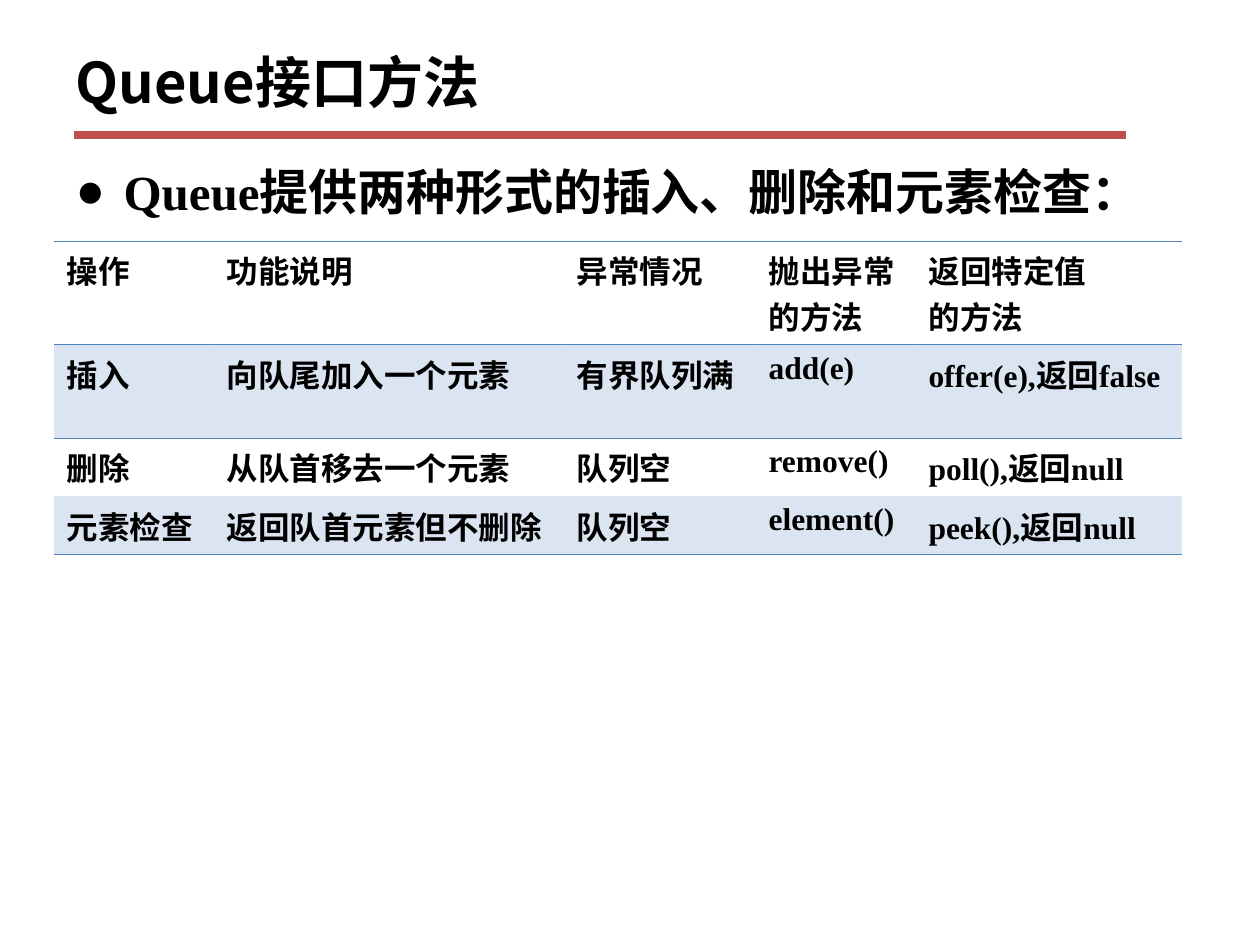
import pptx
import pptx.dml.color
import pptx.enum.shapes
import pptx.enum.text
import pptx.oxml
import pptx.oxml.ns
import pptx.util

TITLE = "Queue接口方法"
BULLET = "Queue提供两种形式的插入、删除和元素检查："
ROWS = [
    ("操作", "功能说明", "异常情况", "抛出异常\n的方法", "返回特定值\n的方法"),
    ("插入", "向队尾加入一个元素", "有界队列满", "add(e)", "offer(e),返回false"),
    ("删除", "从队首移去一个元素", "队列空", "remove()", "poll(),返回null"),
    ("元素检查", "返回队首元素但不删除", "队列空", "element()", "peek(),返回null"),
]
COLUMN_WIDTHS = [160, 350, 192, 160, 266]
ROW_HEIGHTS = [88, 88, 50, 50]
TITLE_BOX = (63, 26, 1134, 110)
BODY_BOX = (63, 155, 1134, 735)
TABLE_ORIGIN = (54, 241)
RULE = (74, 135, 1126, 135)
BULLET_INDENT = 48

THEME = {
    "text": "000000", "rule": "C0504D", "accent": "4F81BD", "band_alpha": 20,
    "latin": "Times New Roman", "asian": "Noto Sans CJK SC",
    "title_size": 32, "body_size": 28, "table_size": 18,
    "rule_width": 4.5, "border_width": 0.45,
}
NO_TABLE_STYLE = "{2D5ABB26-0587-4C30-8999-92F81FD0307C}"


def px(value):
    return pptx.util.Emu(round(value * 914400 / 126))


def color(name):
    return pptx.dml.color.RGBColor.from_string(THEME[name])


def add_xml(parent, tag, content="", **attributes):
    listed = " ".join(f'{key}="{value}"' for key, value in attributes.items())
    namespace = pptx.oxml.ns.nsdecls("a")
    element = pptx.oxml.parse_xml(f"<a:{tag} {namespace} {listed}>{content}</a:{tag}>")
    parent.append(element)


def format_text(text_frame, size, latin):
    for paragraph in text_frame.paragraphs:
        paragraph.alignment = pptx.enum.text.PP_ALIGN.LEFT
        font = paragraph.font
        font.name = latin
        font.size = pptx.util.Pt(size)
        font.bold = True
        font.color.rgb = color("text")
        add_xml(font._element, "ea", typeface=THEME["asian"])


def place(shape, box):
    shape.left, shape.top, shape.width, shape.height = map(px, box)


def add_title(slide):
    title = slide.shapes.title
    place(title, TITLE_BOX)
    title.text_frame.text = TITLE
    title.text_frame.vertical_anchor = pptx.enum.text.MSO_ANCHOR.MIDDLE
    format_text(title.text_frame, THEME["title_size"], THEME["asian"])


def add_body(slide):
    body = slide.placeholders[1]
    place(body, BODY_BOX)
    body.text_frame.text = BULLET
    paragraph = body.text_frame.paragraphs[0]
    paragraph.space_before = pptx.util.Pt(6)
    properties = paragraph._p.get_or_add_pPr()
    properties.set("marL", str(px(BULLET_INDENT)))
    properties.set("indent", str(-px(BULLET_INDENT)))
    add_xml(properties, "buChar", char="●")
    format_text(body.text_frame, THEME["body_size"], THEME["latin"])


def add_rule(slide):
    rule = slide.shapes.add_connector(
        pptx.enum.shapes.MSO_CONNECTOR.STRAIGHT, *map(px, RULE))
    rule.line.color.rgb = color("rule")
    rule.line.width = pptx.util.Pt(THEME["rule_width"])
    add_xml(rule._element.spPr, "effectLst")


def add_border(cell, side):
    line = f'<a:solidFill><a:srgbClr val="{THEME["accent"]}"/></a:solidFill>'
    add_xml(cell._tc.get_or_add_tcPr(), side, line,
            w=pptx.util.Pt(THEME["border_width"]))


def format_cell(cell, row):
    format_text(cell.text_frame, THEME["table_size"], THEME["latin"])
    if row in (0, 1):
        add_border(cell, "lnT")
    if row in (0, len(ROWS) - 1):
        add_border(cell, "lnB")
    if row % 2:
        cell.fill.solid()
        cell.fill.fore_color.rgb = color("accent")
        swatch = cell._tc.tcPr.find(".//" + pptx.oxml.ns.qn("a:solidFill")
                                    + "/../" + pptx.oxml.ns.qn("a:solidFill"))
        fill = cell._tc.tcPr.findall(pptx.oxml.ns.qn("a:solidFill"))[0]
        add_xml(fill[0], "alpha", val=THEME["band_alpha"] * 1000)
    else:
        cell.fill.background()


def add_methods_table(slide):
    frame = slide.shapes.add_table(
        len(ROWS), len(COLUMN_WIDTHS), *map(px, TABLE_ORIGIN),
        px(sum(COLUMN_WIDTHS)), px(sum(ROW_HEIGHTS)))
    table = frame.table
    table.first_row = False
    table.horz_banding = False
    table._tbl.tblPr.find(pptx.oxml.ns.qn("a:tableStyleId")).text = NO_TABLE_STYLE
    for column, width in zip(table.columns, COLUMN_WIDTHS):
        column.width = px(width)
    for row, (height, texts) in enumerate(zip(ROW_HEIGHTS, ROWS)):
        table.rows[row].height = px(height)
        for cell, text in zip(table.rows[row].cells, texts):
            cell.text = text
            format_cell(cell, row)


def main():
    presentation = pptx.Presentation()
    presentation.slide_width = px(1260)
    presentation.slide_height = px(945)
    slide = presentation.slides.add_slide(presentation.slide_layouts[1])
    add_rule(slide)
    add_title(slide)
    add_body(slide)
    add_methods_table(slide)
    presentation.save("out.pptx")


if __name__ == "__main__":
    main()
